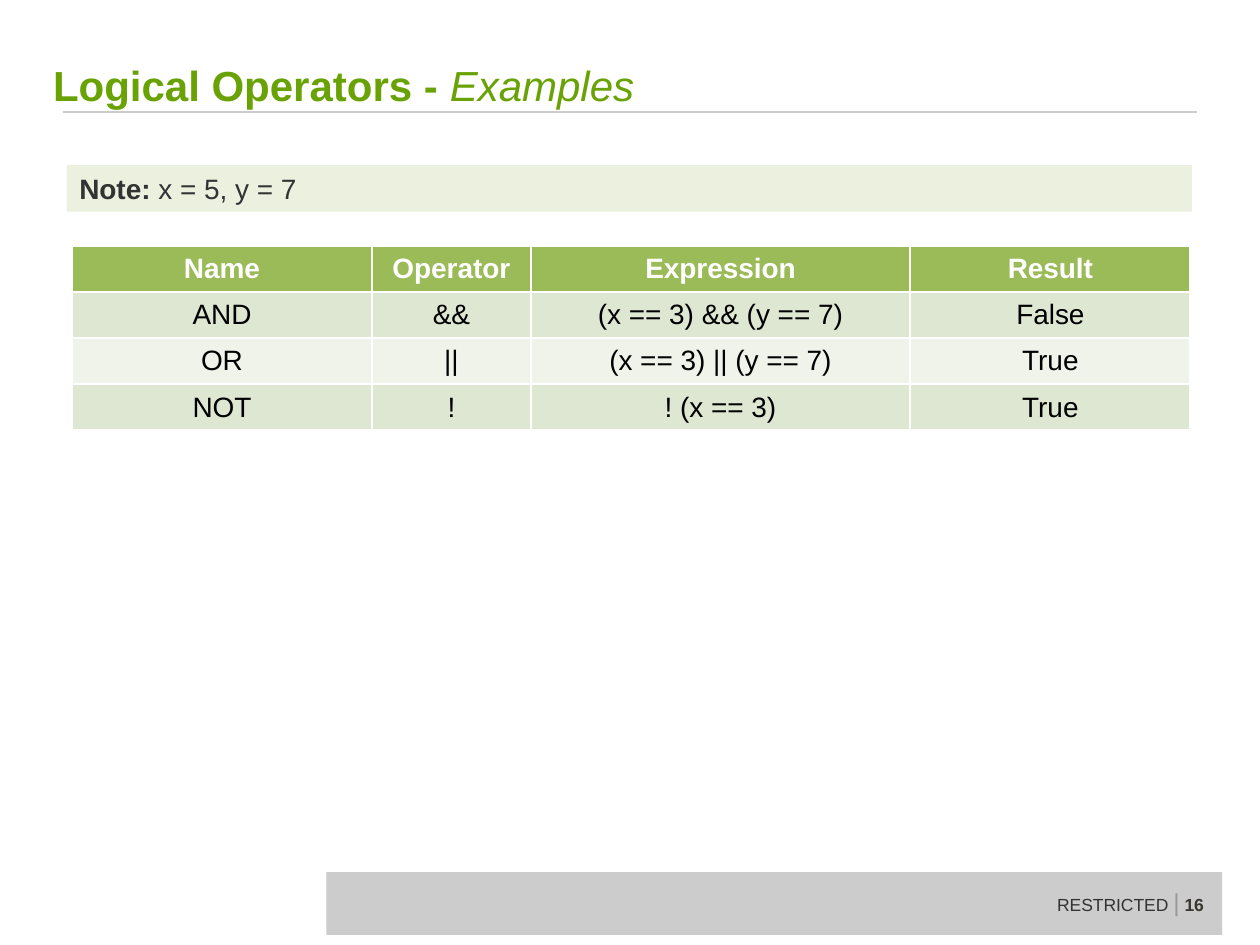
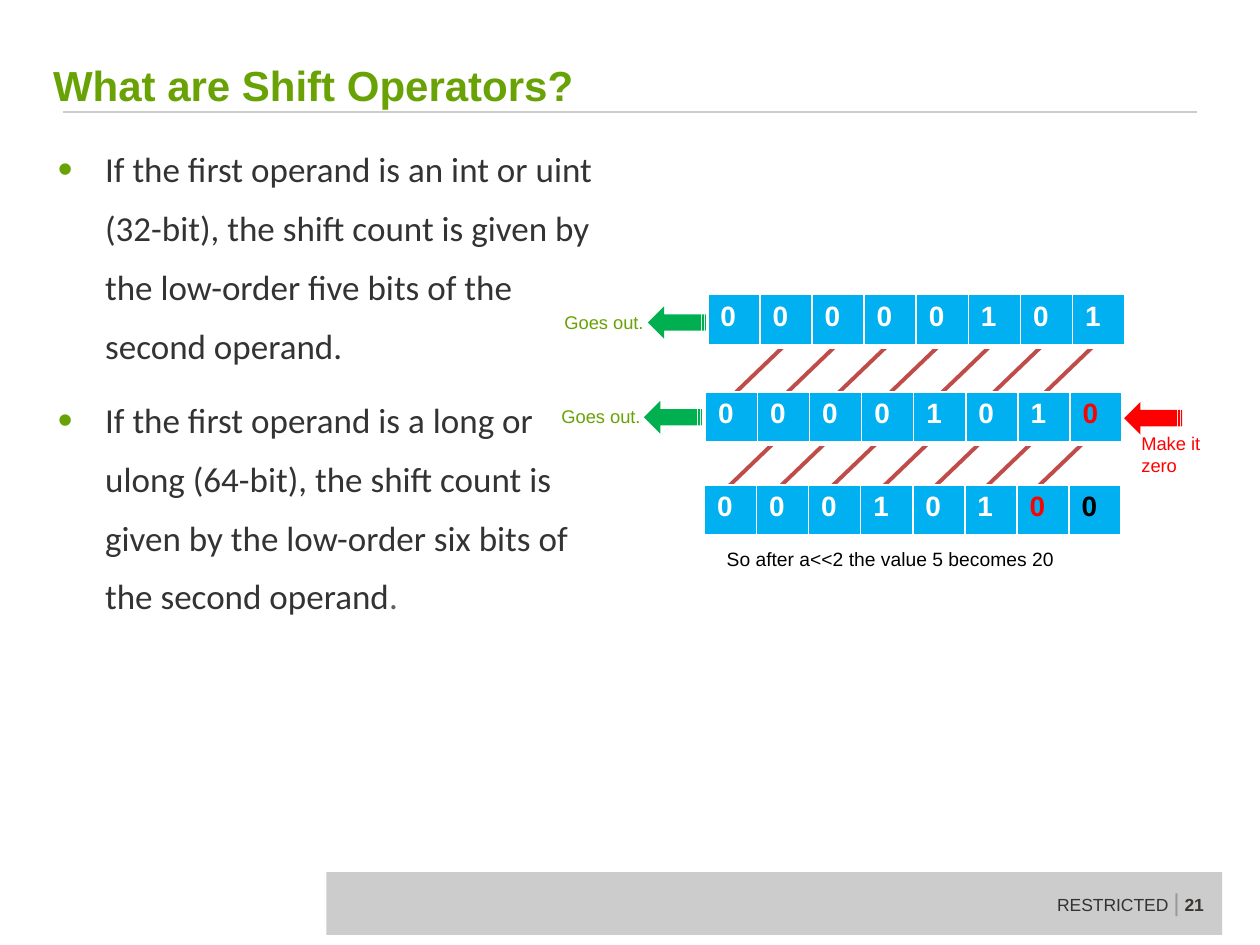
from pptx import Presentation
from pptx.dml.color import RGBColor
from pptx.enum.shapes import MSO_CONNECTOR, MSO_SHAPE
from pptx.enum.text import MSO_ANCHOR, PP_ALIGN
from pptx.oxml import parse_xml
from pptx.oxml.ns import nsdecls
from pptx.oxml.xmlchemy import OxmlElement
from pptx.util import Cm, Pt

HUE = {
    "lime": "69A205", "text": "333333", "rule": "CCCCCC", "pipe": "999999",
    "page": "3A372F", "head": "9BBB59", "odd": "DEE7D1", "even": "EFF3EA",
    "note": "EBF1DE", "bit": "00B0F0", "out": "00B050", "red": "FF0000",
    "link": "BF4C48", "dot": "5F5F5F", "white": "FFFFFF", "black": "000000",
}
RGB = {name: RGBColor.from_string(code) for name, code in HUE.items()}


def put(para, *parts, font="Arial"):
    """Fill a paragraph with runs given as (text, size, colour, style)."""
    para.text = parts[0][0]
    for part in parts[1:]:
        para.add_run().text = part[0]
    for run, (_, size, hue, style) in zip(para.runs, parts):
        run.font.name = font
        run.font.size = Pt(size)
        run.font.color.rgb = RGB[hue]
        run.font.bold = "b" in style
        run.font.italic = "i" in style


def grid(slide, left, top, cols, high, rows, edges):
    """Add a table; rows hold (text, colour, style, fill), edges widths in points."""
    frame = slide.shapes.add_table(len(rows), len(cols), Cm(left), Cm(top),
                                   Cm(sum(cols)), Cm(high * len(rows)))
    table = frame.table
    table.first_row = table.horz_banding = False
    for col, wide in zip(table.columns, cols):
        col.width = Cm(wide)
    for r, row in enumerate(rows):
        table.rows[r].height = Cm(high)
        for c, (text, hue, style, fill) in enumerate(row):
            cell = table.cell(r, c)
            cell.fill.solid()
            cell.fill.fore_color.rgb = RGB[fill]
            put(cell.text_frame.paragraphs[0], (text, 16, hue, style))
            for n, (side, width) in enumerate(zip("LRTB", edges)):
                edge = parse_xml(
                    f'<a:ln{side} {nsdecls("a")} w="{Pt(width)}"><a:solidFill>'
                    f'<a:srgbClr val="{HUE["white"]}"/></a:solidFill></a:ln{side}>')
                cell._tc.get_or_add_tcPr().insert(n, edge)
    return table


deck = Presentation()
deck.slide_width, deck.slide_height = Cm(25.4), Cm(19.05)

# Shared frame: rule, footer band, footer text, title
heads = [
    (16, [("Logical Operators - ", 24, "lime", "b"), ("Examples", 24, "lime", "i")]),
    (21, [("What are Shift Operators?", 24, "lime", "b")]),
]
for page, head in heads:
    slide = deck.slides.add_slide(deck.slide_layouts[6])
    rule = slide.shapes.add_connector(MSO_CONNECTOR.STRAIGHT, Cm(1.27), Cm(2.26),
                                      Cm(24.13), Cm(2.26))
    rule.line.color.rgb, rule.line.width = RGB["rule"], Pt(1.5)
    rule._element.spPr.append(OxmlElement("a:effectLst"))

    band = slide.shapes.add_shape(MSO_SHAPE.RECTANGLE, Cm(6.58), Cm(17.58),
                                  Cm(18.06), Cm(1.27))
    band.shadow.inherit = False
    band.fill.solid()
    band.fill.fore_color.rgb = RGB["rule"]
    band.line.fill.background()

    foot = slide.shapes.add_textbox(Cm(21.06), Cm(17.75), Cm(3.56), Cm(0.86))
    foot.text_frame.word_wrap = False
    put(foot.text_frame.paragraphs[0], ("RESTRICTED ", 10, "text", ""),
        ("|", 14, "pipe", ""), (f" {page}", 10, "page", "b"))

    title = slide.shapes.add_textbox(Cm(1.07), Cm(0.89), Cm(23.22), Cm(1.45))
    frame = title.text_frame
    frame.word_wrap = True
    frame.vertical_anchor = MSO_ANCHOR.BOTTOM
    frame.margin_left = frame.margin_right = frame.margin_top = 0
    frame.margin_bottom = Cm(0.13)
    put(frame.paragraphs[0], *head)

logic, shift = deck.slides

# Logic slide: table
data = [
    ("Name", "Operator", "Expression", "Result"),
    ("AND", "&&", "(x == 3) && (y == 7)", "False"),
    ("OR", "||", "(x == 3) || (y == 7)", "True"),
    ("NOT", "!", "! (x == 3)", "True"),
]
looks = [("white", "b", "head")] + [("black", "", fill) for fill in ("odd", "even", "odd")]
rows = [[(text, *look) for text in line] for line, look in zip(data, looks)]
table = grid(logic, 1.45, 4.95, [6.05, 3.2, 7.65, 5.65], 0.88, rows, [1.5] * 4)
for cell in table.iter_cells():
    cell.vertical_anchor = MSO_ANCHOR.MIDDLE
    cell.text_frame.paragraphs[0].alignment = PP_ALIGN.CENTER

# Logic slide: note
note = logic.shapes.add_shape(MSO_SHAPE.RECTANGLE, Cm(1.35), Cm(3.33), Cm(22.68), Cm(0.94))
note.shadow.inherit = False
note.fill.solid()
note.fill.fore_color.rgb = RGB["note"]
note.line.fill.background()
put(note.text_frame.paragraphs[0], ("Note: ", 16, "text", "b"),
    ("x = 5, y = 7", 16, "text", ""))
note.text_frame.paragraphs[0].alignment = PP_ALIGN.LEFT

# Shift slide: slanted links between the bit rows
for left, top in [(15.85, 6.93), (15.67, 8.86)]:
    for n in range(7):
        x = left + 1.04 * n
        link = shift.shapes.add_connector(MSO_CONNECTOR.STRAIGHT, Cm(x), Cm(top),
                                          Cm(x - 1.03), Cm(top + 0.99))
        link.line.color.rgb, link.line.width = RGB["link"], Pt(2.25)
        link._element.spPr.append(OxmlElement("a:effectLst"))

# Shift slide: bullets
body = shift.shapes.add_textbox(Cm(1.17), Cm(2.64), Cm(11.1), Cm(14.63))
frame = body.text_frame
frame.word_wrap = True
frame.margin_left = frame.margin_right = frame.margin_top = frame.margin_bottom = 0
points = [
    [("If the first operand is an int or uint (32-bit), the shift count is given by "
      "the low-order five bits of the second operand.", 20, "text", "")],
    [("If the first operand is a long or ulong (64-bit), the shift count is given by "
      "the low-order six bits of the second operand", 20, "text", ""),
     (".", 20, "dot", "")],
]
for n, point in enumerate(points):
    para = frame.add_paragraph() if n else frame.paragraphs[0]
    para.line_spacing = 1.4
    para.space_after = Pt(9)
    props = para._p.get_or_add_pPr()
    props.set("marL", str(Cm(0.95)))
    props.set("indent", str(-Cm(0.95)))
    for xml in (f'<a:buClr {nsdecls("a")}><a:srgbClr val="{HUE["lime"]}"/></a:buClr>',
                f'<a:buSzPct {nsdecls("a")} val="120000"/>',
                f'<a:buFont {nsdecls("a")} typeface="Arial"/>',
                f'<a:buChar {nsdecls("a")} char="•"/>'):
        props.append(parse_xml(xml))
    put(para, *point, font="Calibri")

# Shift slide: bit rows
plain = ["white"] * 8
for left, top, bits, hues in [
    (14.27, 5.94, "00000101", plain),
    (14.22, 7.9, "00001010", plain[:7] + ["red"]),
    (14.2, 9.78, "00010100", plain[:6] + ["red", "black"]),
]:
    row = [(bit, hue, "b", "bit") for bit, hue in zip(bits, hues)]
    grid(shift, left, top, [1.05] * 8, 1.04, [row], [1, 1, 1, 3])

# Shift slide: arrows pointing left
for left, top, hue in [(13.06, 6.17, "out"), (12.98, 8.08, "out"), (22.66, 8.1, "red")]:
    arrow = shift.shapes.add_shape(MSO_SHAPE.STRIPED_RIGHT_ARROW, Cm(left), Cm(top),
                                   Cm(1.17), Cm(0.66))
    arrow.rotation = 180
    arrow.shadow.inherit = False
    arrow.fill.solid()
    arrow.fill.fore_color.rgb = RGB[hue]
    arrow.line.fill.background()

# Shift slide: labels
for left, top, wide, high, text, size, hue in [
    (11.13, 6.15, 2.24, 0.71, "Goes out.", 10.5, "lime"),
    (11.07, 8.05, 2.24, 0.71, "Goes out.", 10.5, "lime"),
    (22.76, 8.59, 2.24, 1.14, "Make it zero", 10.5, "red"),
    (14.4, 10.9, 8.41, 0.74, "So after a<<2 the value 5 becomes 20", 11, "black"),
]:
    label = shift.shapes.add_textbox(Cm(left), Cm(top), Cm(wide), Cm(high))
    label.text_frame.word_wrap = True
    put(label.text_frame.paragraphs[0], (text, size, hue, ""))

deck.save("out.pptx")
